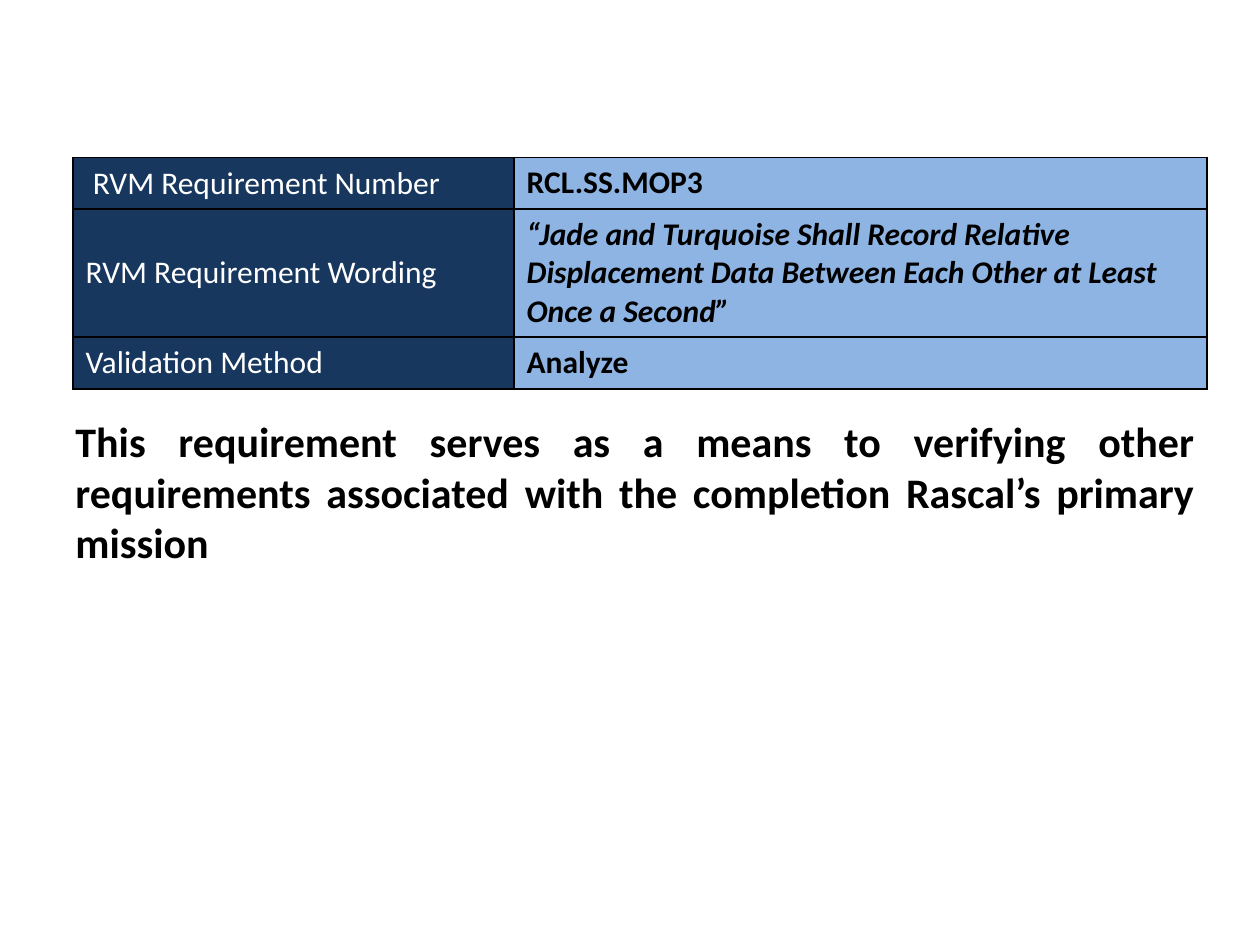
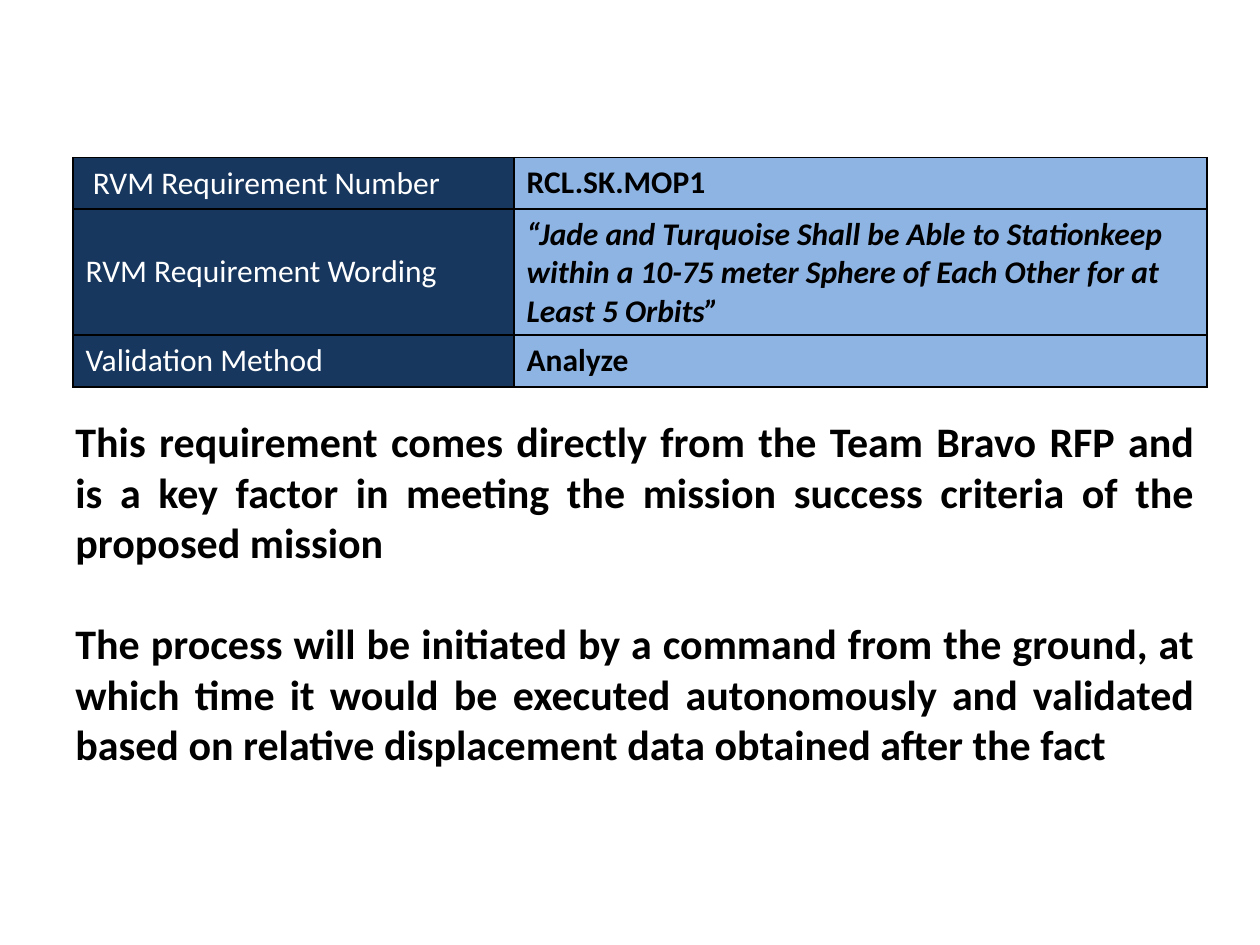
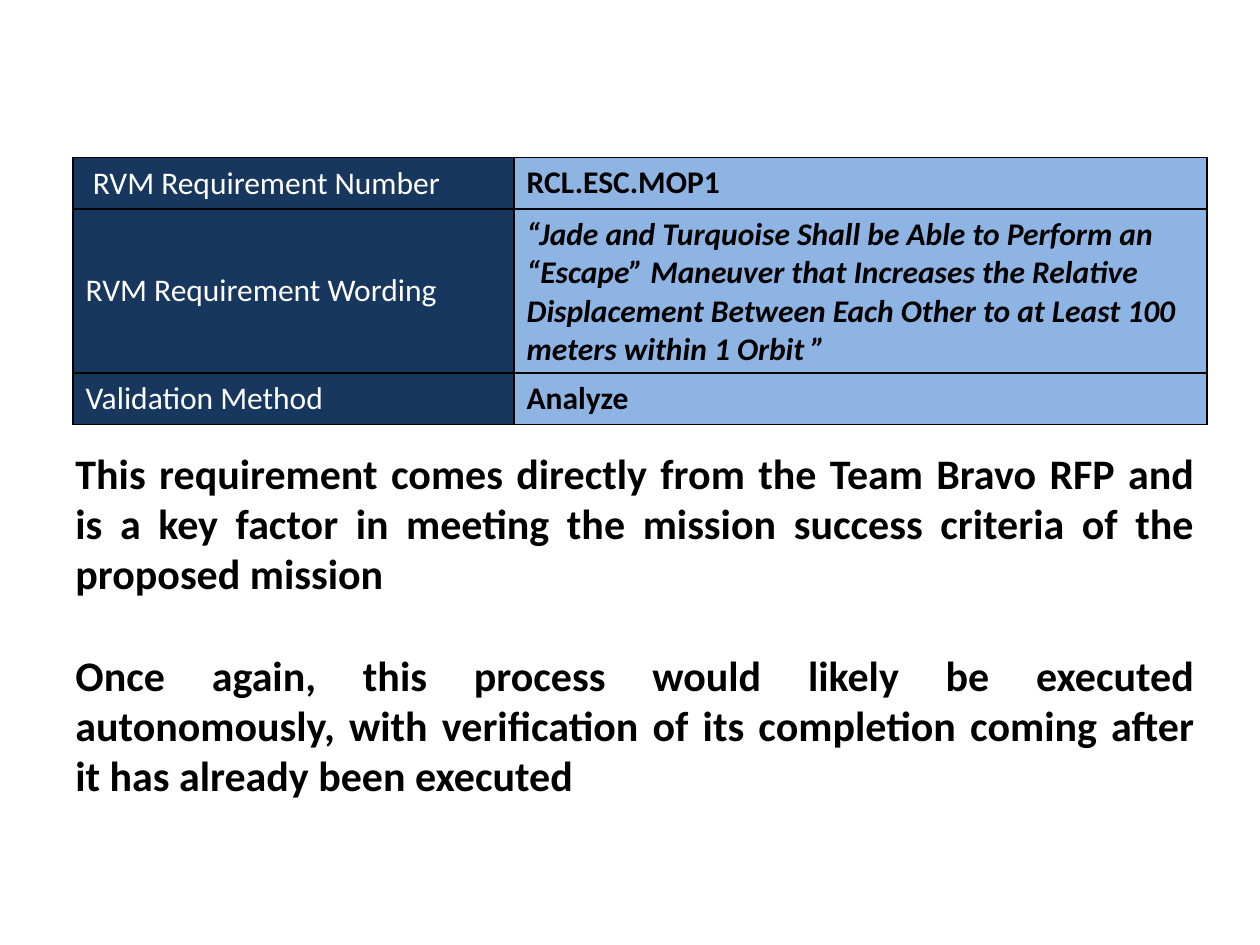
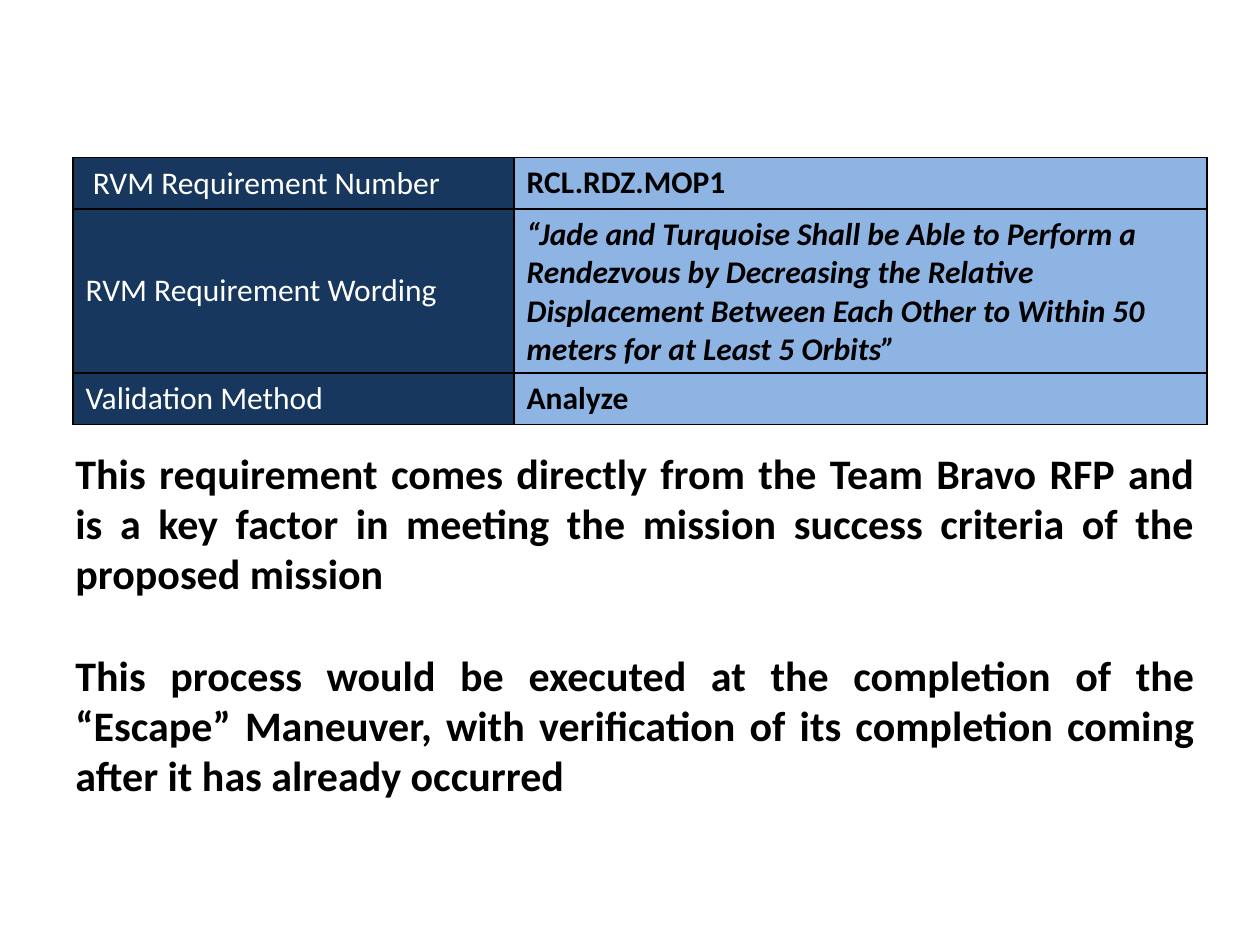
from lxml import etree
from pptx import Presentation
from pptx.dml.color import RGBColor
from pptx.enum import text
from pptx.oxml import ns
from pptx.util import Inches, Pt

FONT = "Calibri"
NAVY, SKY, WHITE, BLACK = "17375E", "8EB4E3", "FFFFFF", "000000"
LABELS = (" RVM Requirement Number", "RVM Requirement Wording", "Validation Method")
COLUMNS = (3.5, 5.5)
ROW_HEIGHT = 0.41
TABLE_LEFT, TABLE_TOP = 0.58, 1.25
NOTES_LEFT, NOTES_WIDTH = 0.5, 9.08

FROM_RFP = ("This requirement comes directly from the Team Bravo RFP and is a key factor "
            "in meeting the mission success criteria of the proposed mission")

# number, wording, table height, notes top, notes height, notes
REQUIREMENTS = [
    ("RCL.SS.MOP3",
     "“Jade and Turquoise Shall Record Relative Displacement Data Between Each Other "
     "at Least Once a Second”",
     1.81, 3.25, 1.31,
     ["This requirement serves as a means to verifying other requirements associated "
      "with the completion Rascal’s primary mission"]),
    ("RCL.SK.MOP1",
     "“Jade and Turquoise Shall be Able to Stationkeep within a 10-75 meter Sphere of "
     "Each Other for at Least 5 Orbits”",
     1.81, 3.25, 2.93,
     [FROM_RFP,
      "The process will be initiated by a command from the ground, at which time it would "
      "be executed autonomously and validated based on relative displacement data "
      "obtained after the fact"]),
    ("RCL.ESC.MOP1",
     "“Jade and Turquoise Shall be Able to Perform an “Escape” Maneuver that Increases "
     "the Relative Displacement Between Each Other to at Least 100 meters within 1 Orbit ”",
     2.11, 3.5, 2.93,
     [FROM_RFP,
      "Once again, this process would likely be executed autonomously, with verification "
      "of its completion coming after it has already been executed"]),
    ("RCL.RDZ.MOP1",
     "“Jade and Turquoise Shall be Able to Perform a Rendezvous by Decreasing the Relative "
     "Displacement Between Each Other to Within 50 meters for at Least 5 Orbits”",
     2.11, 3.5, 2.93,
     [FROM_RFP,
      "This process would be executed at the completion of the “Escape” Maneuver, with "
      "verification of its completion coming after it has already occurred"]),
]


def rgb(color):
    return RGBColor.from_string(color)


def add_run(p, words, size, color, bold=False, italic=False):
    r = p.add_run()
    r.text = words
    r.font.name = FONT
    r.font.size = Pt(size)
    r.font.bold = bold
    r.font.italic = italic
    r.font.color.rgb = rgb(color)


def add_borders(cell):
    tc_pr = cell._tc.get_or_add_tcPr()
    for i, side in enumerate(("lnL", "lnR", "lnT", "lnB")):
        ln = etree.Element(ns.qn(f"a:{side}"), w=str(Pt(1)))
        fill = etree.SubElement(ln, ns.qn("a:solidFill"))
        etree.SubElement(fill, ns.qn("a:srgbClr"), val=BLACK)
        tc_pr.insert(i, ln)  # borders come before the fill


def style_cell(cell, fill):
    cell.fill.solid()
    cell.fill.fore_color.rgb = rgb(fill)
    add_borders(cell)


def add_requirement_table(slide, left, top, height, values):
    frame = slide.shapes.add_table(len(LABELS), len(COLUMNS), Inches(left), Inches(top),
                                   Inches(sum(COLUMNS)), Inches(height))
    table = frame.table
    table.first_row = table.horz_banding = False
    for column, width in zip(table.columns, COLUMNS):
        column.width = Inches(width)
    row_heights = (ROW_HEIGHT, height - 2 * ROW_HEIGHT, ROW_HEIGHT)
    for i, (label, value) in enumerate(zip(LABELS, values)):
        table.rows[i].height = Inches(row_heights[i])
        label_cell, value_cell = table.cell(i, 0), table.cell(i, 1)
        style_cell(label_cell, NAVY)
        label_cell.vertical_anchor = text.MSO_ANCHOR.MIDDLE
        add_run(label_cell.text_frame.paragraphs[0], label, 18, WHITE)
        style_cell(value_cell, SKY)
        add_run(value_cell.text_frame.paragraphs[0], value, 18, BLACK,
                bold=True, italic=i == 1)


def add_notes(slide, left, top, width, height, notes):
    """Justified bold paragraphs, one line apart."""
    sp = slide.shapes.add_textbox(Inches(left), Inches(top), Inches(width), Inches(height))
    tf = sp.text_frame
    tf.word_wrap = True
    tf.auto_size = text.MSO_AUTO_SIZE.SHAPE_TO_FIT_TEXT
    for i, note in enumerate(notes):
        p = tf.add_paragraph() if i else tf.paragraphs[0]
        p.alignment = text.PP_ALIGN.JUSTIFY
        if i:
            p.space_before = Pt(29)
        add_run(p, note, 24, BLACK, bold=True)


def add_requirement_slide(prs, number, wording, table_height, notes_top, notes_height, notes):
    slide = prs.slides.add_slide(prs.slide_layouts[6])
    add_requirement_table(slide, TABLE_LEFT, TABLE_TOP, table_height,
                          (number, wording, "Analyze"))
    add_notes(slide, NOTES_LEFT, notes_top, NOTES_WIDTH, notes_height, notes)


def main():
    prs = Presentation()
    prs.slide_width, prs.slide_height = Inches(10), Inches(7.5)
    for requirement in REQUIREMENTS:
        add_requirement_slide(prs, *requirement)
    prs.save("out.pptx")


if __name__ == "__main__":
    main()
